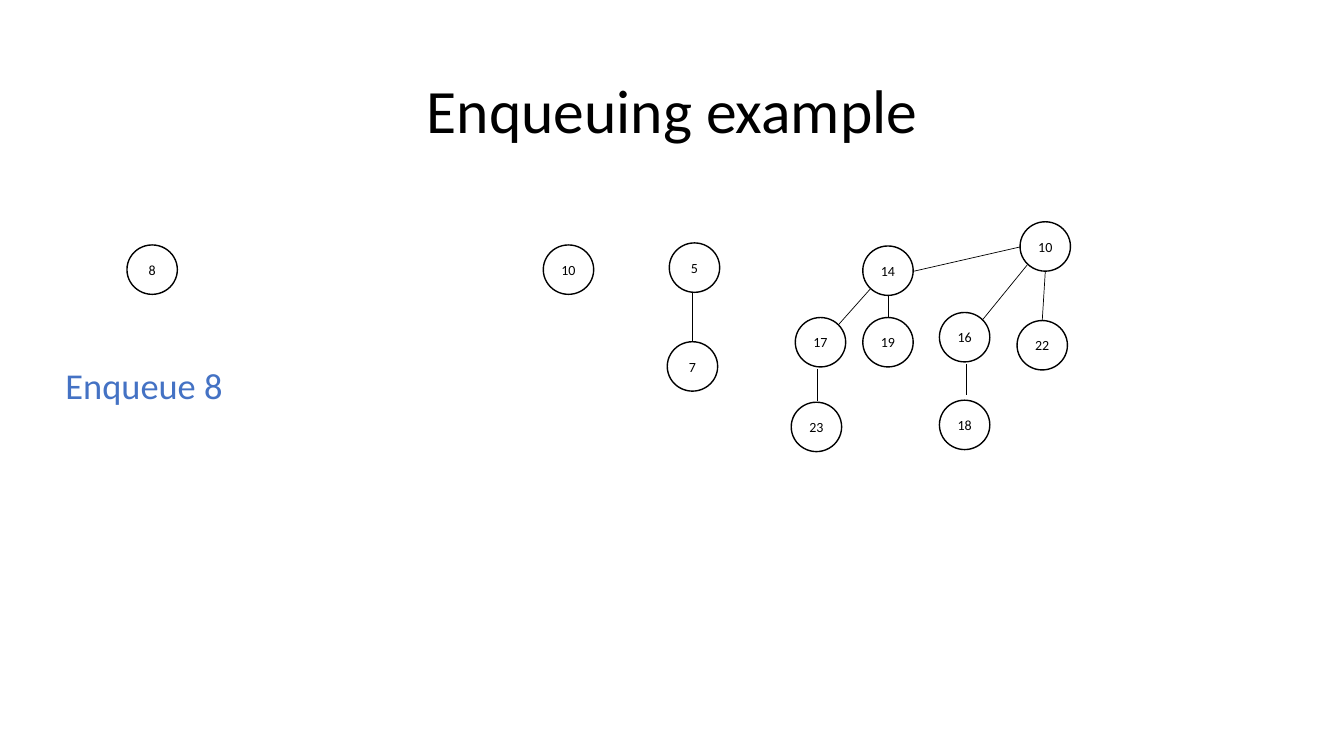
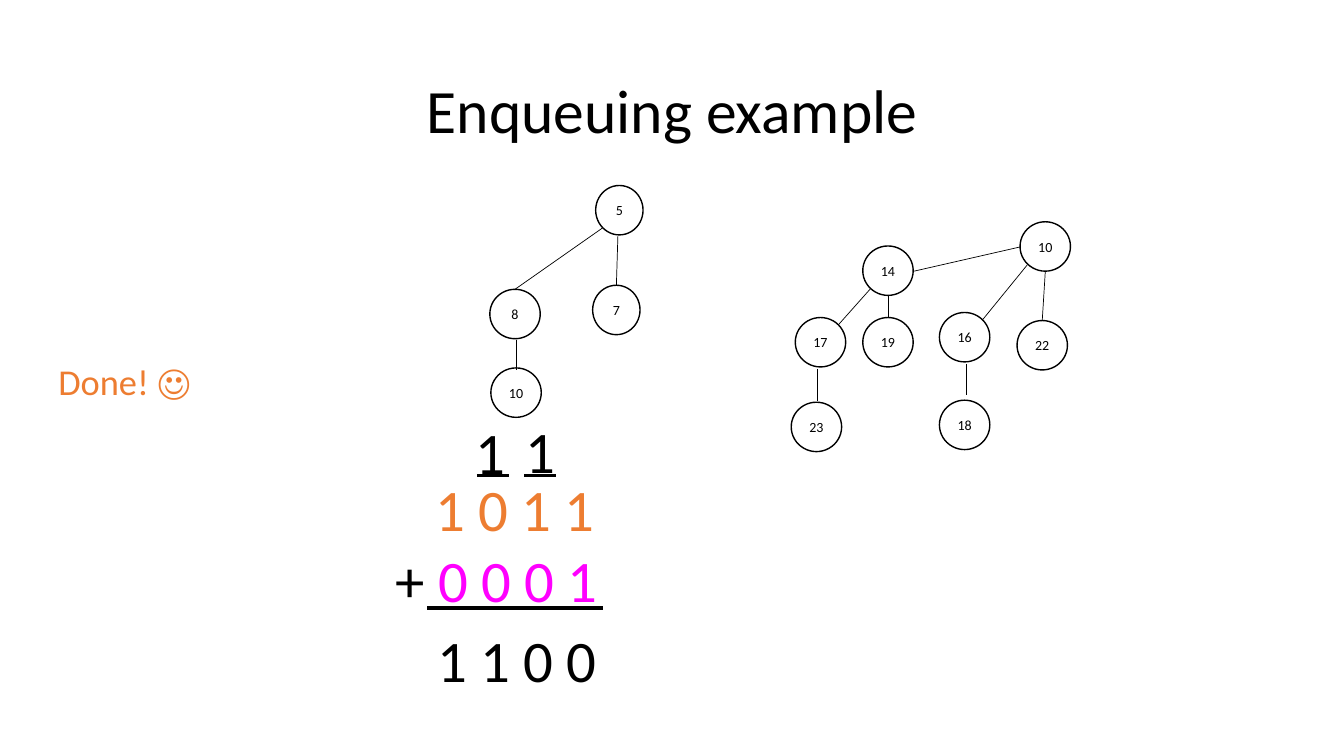
from dataclasses import dataclass
from typing import NamedTuple

from pptx import Presentation
from pptx.dml.color import RGBColor
from pptx.enum.shapes import MSO_CONNECTOR, MSO_SHAPE
from pptx.enum.text import MSO_ANCHOR, MSO_AUTO_SIZE, PP_ALIGN
from pptx.oxml.ns import qn
from pptx.util import Emu, Pt

LINE = MSO_CONNECTOR.STRAIGHT
OVAL = MSO_SHAPE.OVAL
MIDDLE = MSO_ANCHOR.MIDDLE
CENTER = PP_ALIGN.CENTER
GROW = MSO_AUTO_SIZE.SHAPE_TO_FIT_TEXT
TOP = 0
UNIT = 9144


@dataclass(frozen=True)
class Theme:
    font: str = "Calibri"
    ink: str = "000000"
    paper: str = "FFFFFF"
    blue: str = "4472C4"
    orange: str = "ED7D31"
    pink: str = "FF00FF"
    title: int = 44
    sum: int = 42
    label: int = 26
    node: int = 10
    edge: float = 0.5
    ring: float = 1
    carry: float = 2.25
    rule: float = 3


class Area(NamedTuple):
    left: int
    top: int
    width: int
    height: int


@dataclass(frozen=True)
class Node:
    label: str
    left: int
    top: int
    width: int = 50
    height: int = 49


@dataclass(frozen=True)
class Link:
    x1: int
    y1: int
    x2: int
    y2: int
    child: str = ""


@dataclass(frozen=True)
class Tree:
    nodes: tuple[Node, ...]
    links: tuple[Link, ...] = ()


THEME = Theme()
TITLE = Area(92, 40, 1150, 145)

LARGE = Tree(
    (
        Node("14", 856, 244), Node("19", 856, 315), Node("23", 785, 399),
        Node("17", 789, 315), Node("10", 1012, 220), Node("22", 1009, 318),
        Node("18", 932, 397), Node("16", 932, 310),
    ),
    (
        Link(881, 293, 881, 315, "19"), Link(864, 286, 832, 322),
        Link(811, 366, 811, 398), Link(1037, 270, 1034, 318, "22"),
        Link(1019, 263, 975, 317), Link(959, 361, 959, 392),
        Link(1012, 245, 907, 269),
    ),
)
PAIR = Tree(
    (Node("5", 664, 241), Node("7", 662, 339)),
    (Link(687, 290, 687, 339, "7"),),
)
SINGLES = Tree((Node("10", 539, 243), Node("8", 126, 243)))
MERGED = Tree(
    (
        Node("5", 591, 184, 47), Node("7", 588, 283, 47),
        Node("10", 487, 365), Node("8", 486, 287),
    ),
    (
        Link(613, 234, 612, 283, "7"), Link(512, 337, 512, 367),
        Link(598, 226, 511, 287, "8"),
    ),
)


def px(count: int) -> Emu:
    return Emu(count * UNIT)


def rgb(color: str) -> RGBColor:
    return RGBColor.from_string(color)


def write(para, text: str, *, size: float, color: str = THEME.ink,
          align=None, indent: int = 0, pitch: float | None = None) -> None:
    if align is not None:
        para.alignment = align
    if indent:
        para._p.get_or_add_pPr().set("marL", str(px(indent)))
    if pitch is not None:
        para.line_spacing = pitch
    run = para.add_run()
    run.text = text
    run.font.name = THEME.font
    run.font.size = Pt(size)
    run.font.color.rgb = rgb(color)


def add_box(slide, area: Area, wrap: bool = True):
    frame = slide.shapes.add_textbox(*map(px, area)).text_frame
    frame.word_wrap = wrap
    frame.auto_size = GROW
    return frame


def add_text(slide, area: Area, text: str, size: float,
             color: str = THEME.ink, wrap: bool = True) -> None:
    frame = add_box(slide, area, wrap)
    write(frame.paragraphs[0], text, size=size, color=color)


def add_node(slide, node: Node, solid: bool):
    area = Area(node.left, node.top, node.width, node.height)
    shape = slide.shapes.add_shape(OVAL, *map(px, area))
    shape.shadow.inherit = False
    if solid:
        shape.fill.solid()
        shape.fill.fore_color.rgb = rgb(THEME.paper)
    else:
        shape.fill.background()
    shape.line.color.rgb = rgb(THEME.ink)
    shape.line.width = Pt(THEME.ring)
    frame = shape.text_frame
    frame.margin_left = frame.margin_right = 0
    frame.margin_top = frame.margin_bottom = 0
    frame.vertical_anchor = MIDDLE
    write(frame.paragraphs[0], node.label, size=THEME.node, align=CENTER)
    return shape


def add_line(slide, link: Link, width: float):
    ends = map(px, (link.x1, link.y1, link.x2, link.y2))
    line = slide.shapes.add_connector(LINE, *ends)
    line.line.color.rgb = rgb(THEME.ink)
    line.line.width = Pt(width)
    props = line._element.spPr
    props.append(props.makeelement(qn("a:effectLst"), {}))
    return line


def add_tree(slide, tree: Tree, solid: bool) -> None:
    shapes = {node.label: add_node(slide, node, solid)
              for node in tree.nodes}
    for link in tree.links:
        line = add_line(slide, link, THEME.edge)
        if link.child:
            line.end_connect(shapes[link.child], TOP)


def add_slide(deck, title: str, trees: tuple[Tree, ...], solid: bool):
    slide = deck.slides.add_slide(deck.slide_layouts[5])
    head = slide.shapes.title
    head.left, head.top, head.width, head.height = map(px, TITLE)
    frame = head.text_frame
    frame.vertical_anchor = MIDDLE
    write(frame.paragraphs[0], title, size=THEME.title,
          align=CENTER, pitch=0.9)
    for tree in trees:
        add_tree(slide, tree, solid)
    return slide


def add_sum(slide) -> None:
    frame = add_box(slide, Area(330, 464, 518, 151))
    write(frame.paragraphs[0], "1 0 1 1", size=THEME.sum,
          color=THEME.orange, indent=92)
    para = frame.add_paragraph()
    write(para, "+ ", size=THEME.sum, indent=53)
    write(para, "0 0 0 1", size=THEME.sum, color=THEME.pink)
    add_line(slide, Link(424, 603, 598, 603), THEME.rule)
    add_text(slide, Area(424, 614, 192, 81), "1 1 0 0", THEME.sum)
    for left, top in ((512, 406), (462, 407)):
        add_text(slide, Area(left, top, 50, 81), "1", THEME.sum, wrap=False)
    for left in (520, 473):
        add_line(slide, Link(left, 472, left + 32, 472), THEME.carry)


def main() -> None:
    deck = Presentation()
    deck.slide_width, deck.slide_height = Emu(12192000), px(750)
    title = "Enqueuing example"

    start = add_slide(deck, title, (LARGE, PAIR, SINGLES), solid=False)
    add_text(start, Area(55, 355, 201, 54), "Enqueue 8",
             THEME.label, THEME.blue)

    done = add_slide(deck, title, (LARGE, MERGED), solid=True)
    add_text(done, Area(48, 351, 158, 54), "Done! ☺",
             THEME.label, THEME.orange)
    add_sum(done)

    deck.save("out.pptx")


if __name__ == "__main__":
    main()
